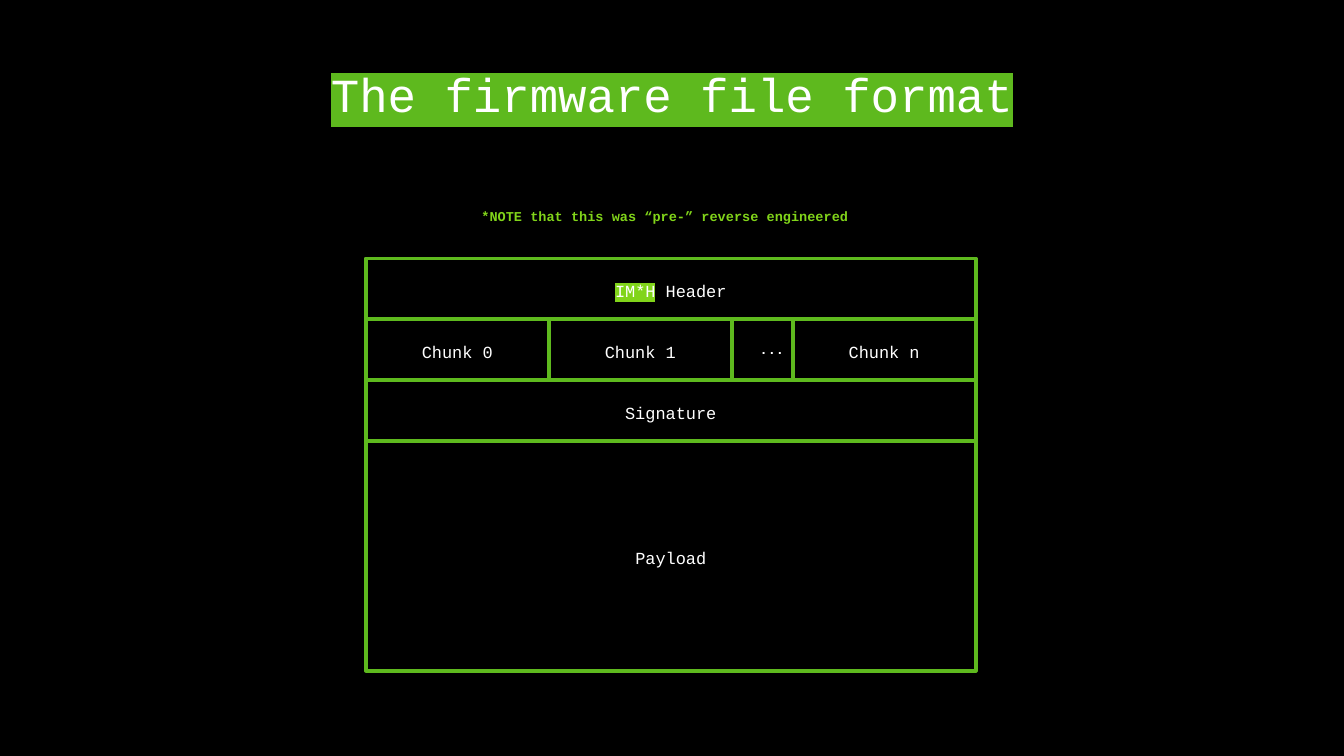
from lxml.etree import SubElement
from pptx import Presentation
from pptx.dml.color import RGBColor
from pptx.enum.shapes import MSO_SHAPE
from pptx.enum.text import MSO_ANCHOR, PP_ALIGN
from pptx.oxml.ns import qn
from pptx.util import Inches, Pt

COLORS = {"background": "000000", "text": "FFFFFF", "frame": "5EB91E", "accent": "81D41A"}
FONT = "Courier New"
ROW_HEIGHT = 0.5
CHUNK_WIDTH = 1.5


def rgb(name):
    return RGBColor.from_string(COLORS[name])


def add_run(paragraph, text, size, color="text", bold=False, highlight=None):
    run = paragraph.add_run()
    run.text = text
    run.font.size = Pt(size)
    run.font.bold = bold
    run.font.color.rgb = rgb(color)
    if highlight:
        properties = run.font.fill._xPr
        marker = SubElement(properties, qn("a:highlight"))
        SubElement(marker, qn("a:srgbClr")).set("val", COLORS[highlight])
    run.font.name = FONT


def prepare_text(frame, margin_x=0, margin_y=0, anchor=MSO_ANCHOR.MIDDLE):
    frame.word_wrap = True
    frame.margin_left = frame.margin_right = Inches(margin_x)
    frame.margin_top = frame.margin_bottom = Inches(margin_y)
    frame.vertical_anchor = anchor
    paragraph = frame.paragraphs[0]
    paragraph.alignment = PP_ALIGN.CENTER
    return paragraph


def add_title(slide, left, top, width, height):
    title = slide.shapes.title
    title.left, title.top = Inches(left), Inches(top)
    title.width, title.height = Inches(width), Inches(height)
    heading = prepare_text(title.text_frame)
    add_run(heading, "The firmware file format", 28, highlight="frame")


def add_caption(slide, text, left, top, width, height, color, anchor):
    caption = slide.shapes.add_textbox(*map(Inches, (left, top, width, height)))
    paragraph = prepare_text(caption.text_frame, anchor=anchor)
    add_run(paragraph, text, 8, color, bold=True)


def add_field(slide, parts, left, top, width, height):
    field = slide.shapes.add_shape(
        MSO_SHAPE.RECTANGLE, *map(Inches, (left, top, width, height))
    )
    field.shadow.inherit = False
    field.fill.background()
    field.line.color.rgb = rgb("frame")
    field.line.width = Pt(2.3)
    SubElement(field._element.spPr.find(qn("a:ln")), qn("a:round"))
    label = prepare_text(field.text_frame, 0.11, 0.06)
    label.line_spacing = 1.15
    for text, highlight in parts:
        add_run(label, text, 10, highlight=highlight)


def add_file_layout(slide, left, top, width, height):
    header = [("IM*H", "accent"), (" Header", None)]
    add_field(slide, header, left, top, width, ROW_HEIGHT)

    chunks_top = top + ROW_HEIGHT
    last_chunk_left = left + width - CHUNK_WIDTH
    chunks = [("Chunk 0", left), ("Chunk 1", left + CHUNK_WIDTH), ("Chunk n", last_chunk_left)]
    for name, chunk_left in chunks:
        add_field(slide, [(name, None)], chunk_left, chunks_top, CHUNK_WIDTH, ROW_HEIGHT)
    add_caption(slide, "...", left + 2 * CHUNK_WIDTH + 0.08, chunks_top - 0.01,
                0.5, ROW_HEIGHT, "text", MSO_ANCHOR.MIDDLE)

    signature_top = chunks_top + ROW_HEIGHT
    add_field(slide, [("Signature", None)], left, signature_top, width, ROW_HEIGHT)
    payload_height = height - 3 * ROW_HEIGHT
    add_field(slide, [("Payload", None)], left, signature_top + ROW_HEIGHT, width, payload_height)


def main():
    presentation = Presentation()
    presentation.slide_width = Inches(11.02)
    presentation.slide_height = Inches(6.2)
    slide = presentation.slides.add_slide(presentation.slide_layouts[5])
    slide.background.fill.solid()
    slide.background.fill.fore_color.rgb = rgb("background")

    add_title(slide, 0.55, 0.25, 9.92, 1.04)
    add_caption(slide, "*NOTE that this was “pre-” reverse engineered",
                2.83, 1.71, 5.25, 0.3, "accent", MSO_ANCHOR.TOP)
    add_file_layout(slide, 3, 2.12, 5, 3.38)
    presentation.save("out.pptx")


if __name__ == "__main__":
    main()
